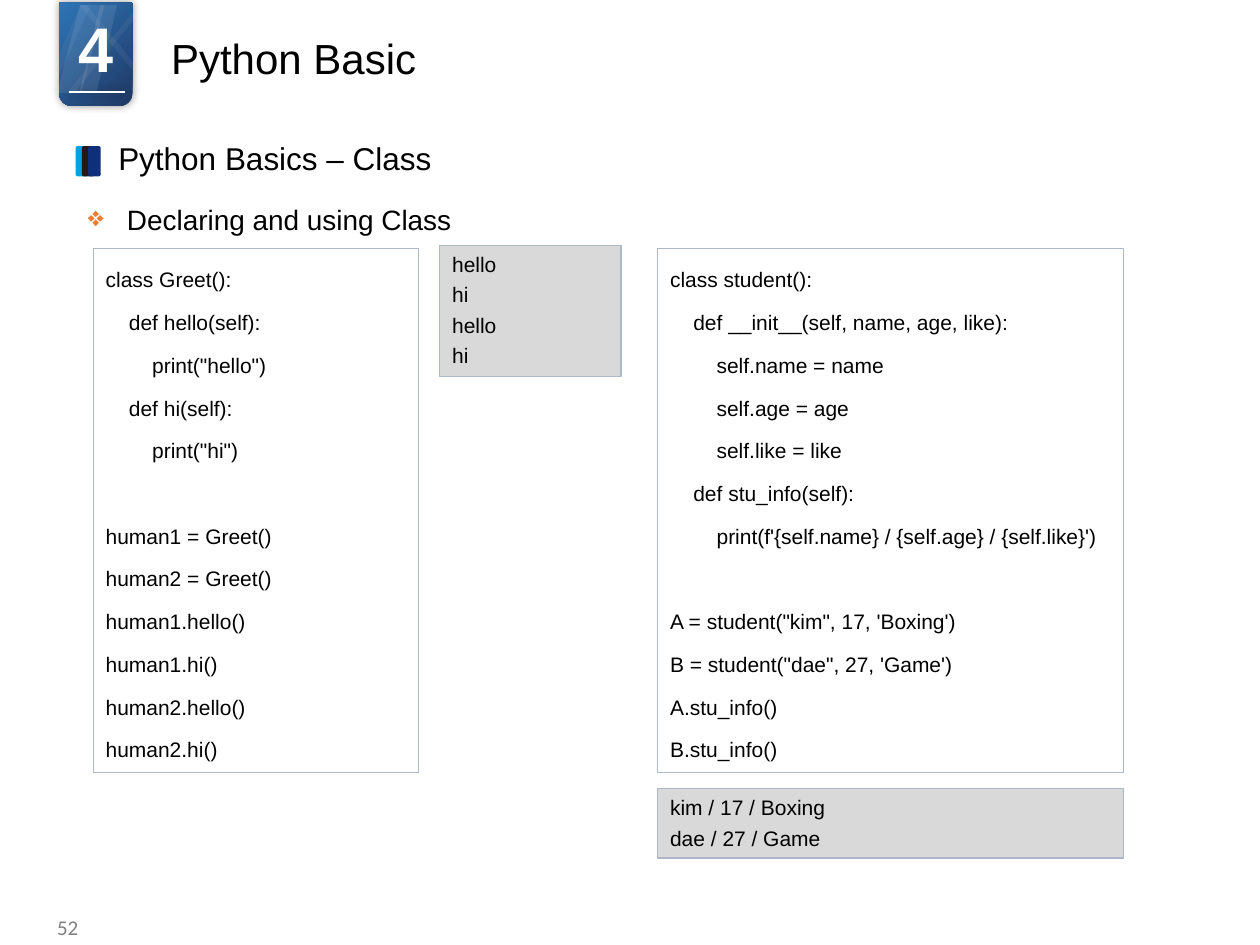
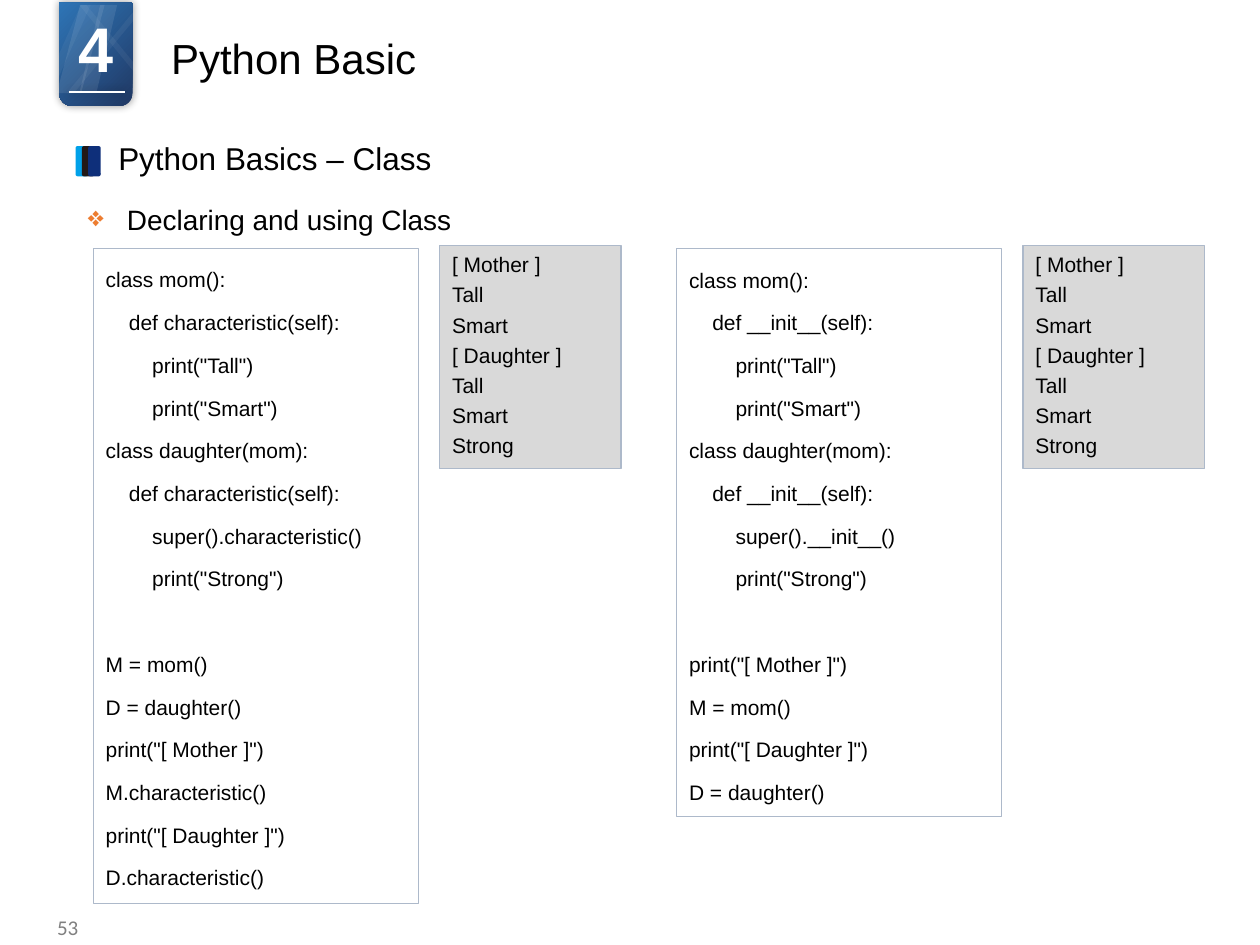
from lxml.etree import SubElement
from pptx import Presentation
from pptx.dml.color import RGBColor
from pptx.enum.shapes import MSO_CONNECTOR, MSO_SHAPE
from pptx.enum.text import MSO_ANCHOR, PP_ALIGN
from pptx.oxml.ns import qn
from pptx.util import Inches, Pt

WHITE, BLACK, GRAY = "FFFFFF", "000000", "808080"
NAVY, BLUE, ORANGE = "203864", "2E75B6", "ED7D31"
PANEL_LINE, OUTPUT_FILL = "ADB9CA", "D9D9D9"
MARKER_COLORS = ("00A1E9", "231916", "0E2F7A")

TITLE = {"size": Pt(24), "name": "Arial"}
HEADING = {"size": Pt(18), "name": "Arial"}
TOPIC = {"size": Pt(16), "name": "Arial"}
BODY = {"size": Pt(12), "name": "Arial"}
PAGE_NUMBER = {"size": Pt(12), "name": "Calibri"}
CHAPTER = {"size": Pt(36), "name": "Arial", "bold": True}

CODE_LINES = {"line_spacing": 1.5, "space_after": Pt(2.8)}
OUTPUT_LINES = {"space_after": Pt(2.8)}
BLANK_CODE_LINE = Pt(24.4)
COLUMN_GAP = 0.17

# left, width, slant, opacity in percent, mirrored
BADGE_RAYS = (
    (0.45, 0.38, 0.49, 9, False),
    (0.63, 0.30, 0.55, 9, False),
    (0.53, 0.63, 0.91, 5, False),
    (0.33, 0.39, 0.80, 5, False),
    (0.63, 0.63, 0.91, 5, True),
)

GREET_CODE = """class Greet():
    def hello(self):
        print("hello")
    def hi(self):
        print("hi")

human1 = Greet()
human2 = Greet()
human1.hello()
human1.hi()
human2.hello()
human2.hi()"""

STUDENT_CODE = """class student():
    def __init__(self, name, age, like):
        self.name = name
        self.age = age
        self.like = like
    def stu_info(self):
        print(f'{self.name} / {self.age} / {self.like}')

A = student("kim", 17, 'Boxing')
B = student("dae", 27, 'Game')
A.stu_info()
B.stu_info()"""

FAMILY_CODE = """class mom():
    def METHOD(self):
        print("Tall")
        print("Smart")
class daughter(mom):
    def METHOD(self):
        super().METHOD()
        print("Strong")

"""

METHOD_CALLS = """M = mom()
D = daughter()
print("[ Mother ]")
M.characteristic()
print("[ Daughter ]")
D.characteristic()"""

INIT_CALLS = """print("[ Mother ]")
M = mom()
print("[ Daughter ]")
D = daughter()"""

GREET_OUTPUT = "hello\nhi\nhello\nhi"
STUDENT_OUTPUT = "kim / 17 / Boxing\ndae / 27 / Game"
FAMILY_OUTPUT = "[ Mother ]\nTall\nSmart\n[ Daughter ]\nTall\nSmart\nStrong"


def color(hex_text):
    return RGBColor.from_string(hex_text)


def apply(target, values):
    for name, value in values.items():
        setattr(target, name, value)


def set_effects(shape, glow=False):
    """Replace inherited effects with none, or with a soft dark halo."""
    effects = SubElement(shape.element.spPr, qn("a:effectLst"))
    if glow:
        shadow = SubElement(effects, qn("a:outerShdw"), blurRad=str(Pt(5)),
                            dist="0", dir="0", rotWithShape="0")
        shade = SubElement(shadow, qn("a:srgbClr"), val=BLACK)
        SubElement(shade, qn("a:alpha"), val="40000")


def add_box(shapes, kind, left, top, width, height, fill=None, line=None):
    box = shapes.add_shape(kind, Inches(left), Inches(top), Inches(width), Inches(height))
    box.shadow.inherit = False
    if fill:
        box.fill.solid()
        box.fill.fore_color.rgb = color(fill)
    else:
        box.fill.background()
    if line:
        box.line.color.rgb = color(line)
        box.line.width = Pt(0.75)
    else:
        box.line.fill.background()
    return box


def write(frame, text, font, ink=BLACK, layout=None, anchor=MSO_ANCHOR.TOP):
    """Fill a frame line by line; a blank line becomes space before the next one."""
    apply(frame, {"word_wrap": True, "vertical_anchor": anchor})
    para, gap = frame.paragraphs[0], False
    for number, line in enumerate(text.split("\n")):
        if not line:
            gap = True
            continue
        if number:
            para = frame.add_paragraph()
        apply(para, {"alignment": PP_ALIGN.LEFT, **(layout or {})})
        if gap:
            para.space_before, gap = BLANK_CODE_LINE, False
        span = para.add_run()
        span.text = line
        apply(span.font, font)
        span.font.color.rgb = color(ink)
    return frame.paragraphs[0]


def add_text(page, left, top, width, height, text, font, **options):
    box = page.shapes.add_textbox(Inches(left), Inches(top), Inches(width), Inches(height))
    return write(box.text_frame, text, font, **options)


def add_badge(page):
    """Draw the chapter badge with its light rays, rule and number."""
    badge = page.shapes.add_shape(MSO_SHAPE.ROUND_2_SAME_RECTANGLE, Inches(0.47),
                                  Inches(0.02), Inches(0.58), Inches(0.82))
    badge.rotation = 180
    badge.fill.gradient()
    badge.fill.gradient_angle = 315
    for stop, shade in zip(badge.fill.gradient_stops, (NAVY, BLUE)):
        stop.color.rgb = color(shade)
    badge.line.fill.background()
    set_effects(badge, glow=True)

    rule = page.shapes.add_connector(MSO_CONNECTOR.STRAIGHT, Inches(0.99), Inches(0.73),
                                     Inches(0.55), Inches(0.73))
    rule.line.color.rgb = color(WHITE)
    rule.line.width = Pt(1)
    set_effects(rule, glow=True)

    rays = page.shapes.add_group_shape()
    for left, width, slant, opacity, mirrored in BADGE_RAYS:
        ray = add_box(rays.shapes, MSO_SHAPE.PARALLELOGRAM, left, 0.04, width, 0.7, WHITE)
        ray.adjustments[0] = slant
        properties = ray.element.spPr
        shade = properties.find(".//" + qn("a:srgbClr"))
        SubElement(shade, qn("a:alpha"), val=str(opacity * 1000))
        if mirrored:
            properties.find(qn("a:xfrm")).set("flipH", "1")

    para = add_text(page, 0.49, 0.03, 0.54, 0.71, "4", CHAPTER, ink=WHITE,
                    layout={"alignment": PP_ALIGN.CENTER})
    para.runs[0].font._element.set("spc", "-150")


def add_heading(page, text):
    marker = page.shapes.add_group_shape()
    for index, shade in enumerate(MARKER_COLORS):
        add_box(marker.shapes, MSO_SHAPE.ROUNDED_RECTANGLE,
                0.6 + 0.05 * index, 1.16, 0.1, 0.24, shade)
    add_text(page, 0.84, 1.09, 4.71, 0.37, text, HEADING,
             layout={"line_spacing": 0.9}, anchor=MSO_ANCHOR.MIDDLE)


def add_topic(page, text):
    para = add_text(page, 0.6, 1.56, 3.83, 0.37, text, TOPIC)
    properties = para._p.get_or_add_pPr()
    properties.set("marL", str(Inches(0.31)))
    properties.set("indent", str(Inches(-0.31)))
    bullet_color = SubElement(properties, qn("a:buClr"))
    SubElement(bullet_color, qn("a:srgbClr"), val=ORANGE)
    SubElement(properties, qn("a:buChar"), char="❖")
    para.space_after = Pt(2.8)


def add_code(page, left, width, height, code):
    panel = add_box(page.shapes, MSO_SHAPE.RECTANGLE, left, 1.97, width, height,
                    line=PANEL_LINE)
    write(panel.text_frame, code, BODY, layout=CODE_LINES)


def add_output(page, left, top, width, height, output):
    panel = add_box(page.shapes, MSO_SHAPE.RECTANGLE, left, top, width, height,
                    OUTPUT_FILL, PANEL_LINE)
    write(panel.text_frame, output, BODY, layout=OUTPUT_LINES)


def add_code_with_output(page, left, code_height, code, output_height, output):
    """Place a code panel with its output to the right."""
    width = 2.58
    add_code(page, left, width, code_height, code)
    add_output(page, left + width + COLUMN_GAP, 1.95, 1.44, output_height, output)


def add_page(deck, number):
    page = deck.slides.add_slide(deck.slide_layouts[6])
    add_badge(page)
    add_text(page, 1.26, 0.21, 7.04, 0.57, "Python Basic", TITLE)
    add_heading(page, "Python Basics – Class")
    add_topic(page, "Declaring and using Class")
    add_text(page, 0.23, 7.25, 0.49, 0.21, str(number), PAGE_NUMBER, ink=GRAY,
             layout={"alignment": PP_ALIGN.RIGHT}, anchor=MSO_ANCHOR.MIDDLE)
    return page


def family_code(method, calls):
    return FAMILY_CODE.replace("METHOD", method) + calls


def main():
    deck = Presentation()
    deck.slide_width, deck.slide_height = Inches(10), Inches(7.5)

    page = add_page(deck, 52)
    add_code_with_output(page, 0.74, 4.16, GREET_CODE, 1.04, GREET_OUTPUT)
    add_code(page, 5.22, 3.7, 4.16, STUDENT_CODE)
    add_output(page, 5.22, 6.26, 3.7, 0.55, STUDENT_OUTPUT)

    page = add_page(deck, 53)
    add_code_with_output(page, 0.74, 5.2, family_code("characteristic", METHOD_CALLS),
                         1.77, FAMILY_OUTPUT)
    add_code_with_output(page, 5.37, 4.51, family_code("__init__", INIT_CALLS),
                         1.77, FAMILY_OUTPUT)

    deck.save("out.pptx")


if __name__ == "__main__":
    main()
